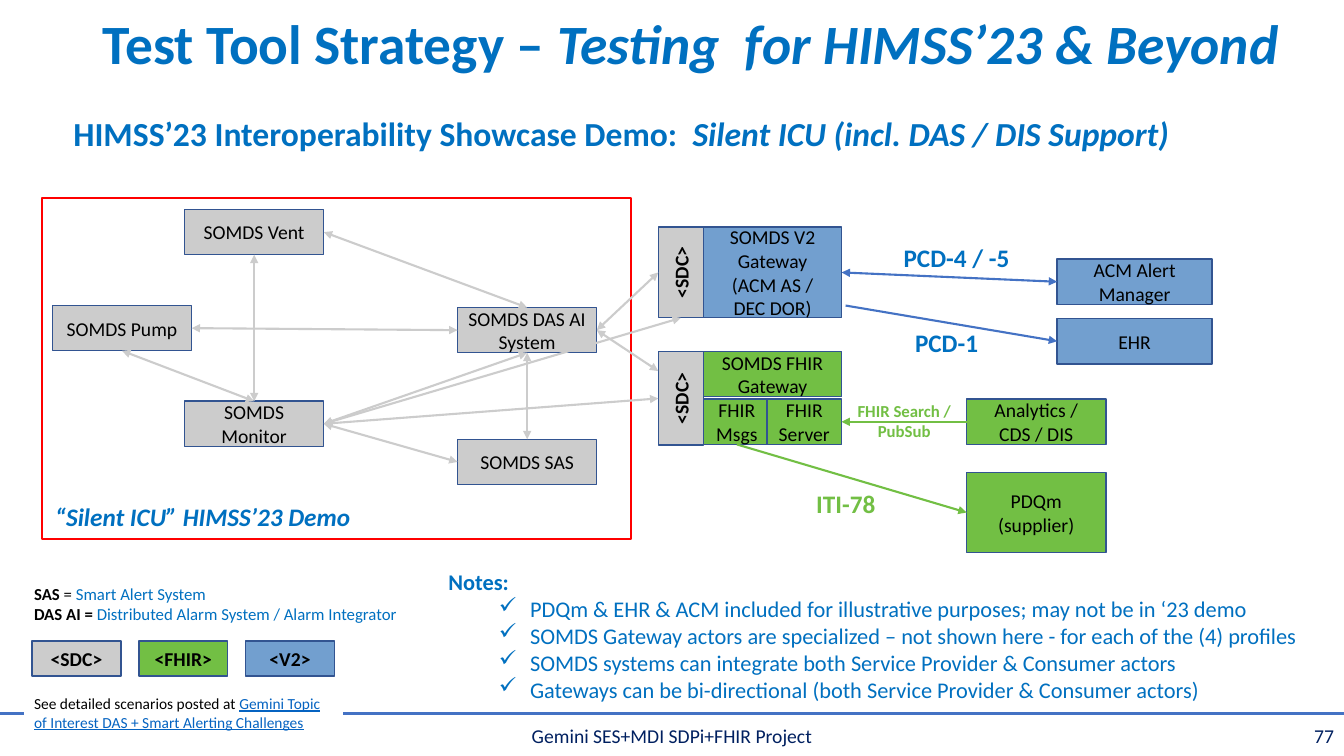
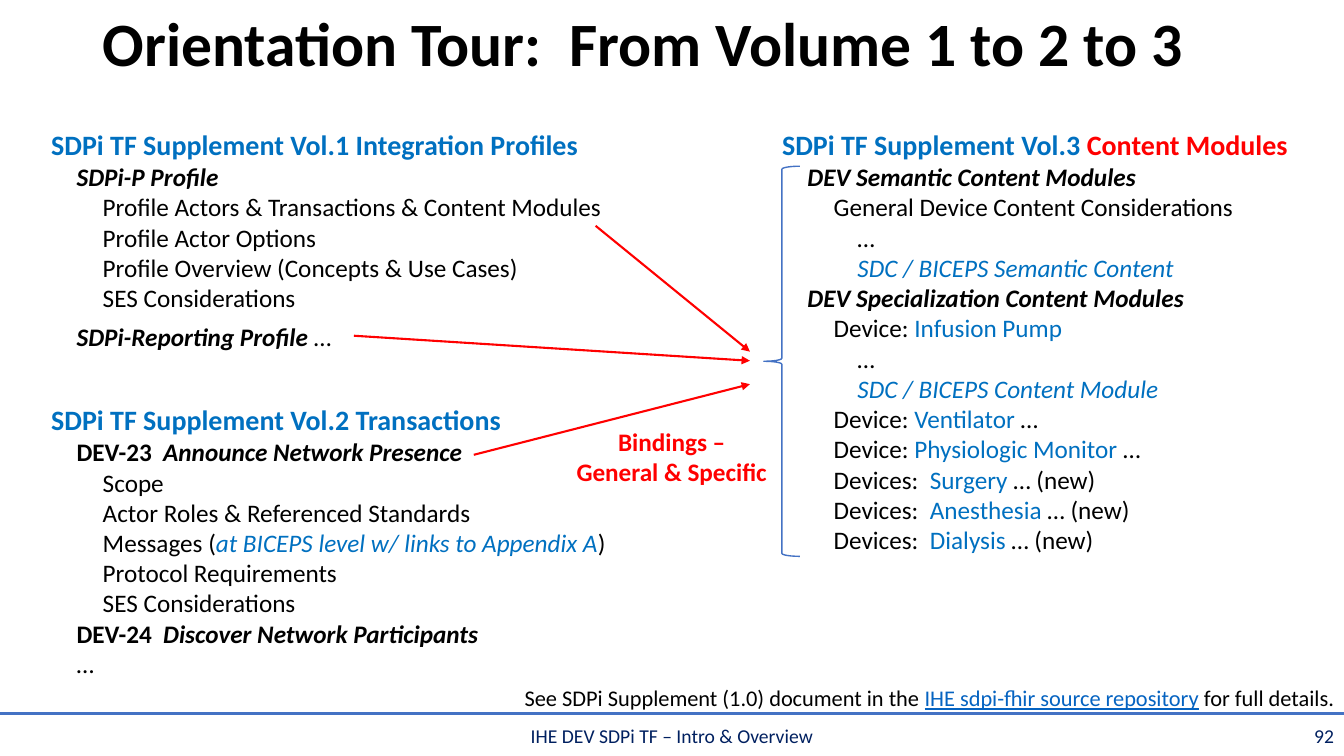
from collections import namedtuple

from lxml import etree
from pptx import Presentation
from pptx.dml.color import RGBColor
from pptx.enum import shapes, text
from pptx.oxml import ns
from pptx.util import Cm, Pt

FONT = "Calibri"
BLACK = RGBColor(0x00, 0x00, 0x00)
WHITE = RGBColor(0xFF, 0xFF, 0xFF)
BLUE = RGBColor(0x00, 0x70, 0xC0)
NAVY = RGBColor(0x00, 0x20, 0x60)
RULE = RGBColor(0x44, 0x72, 0xC4)
EDGE = RGBColor(0x32, 0x54, 0x91)
RED = RGBColor(0xFF, 0x00, 0x00)
LINK = RGBColor(0x05, 0x63, 0xC1)
SDC = RGBColor(0xCC, 0xCC, 0xCC)
FHIR = RGBColor(0x72, 0xBF, 0x44)
V2 = RGBColor(0x72, 0x9F, 0xCF)

PAGE_WIDTH, PAGE_HEIGHT = 33.87, 19.05
ACTOR_WIDTH, ACTOR_HEIGHT = 3.51, 1.14
TOP, LEFT, BOTTOM, RIGHT = range(4)
CENTER, ALIGN_RIGHT = text.PP_ALIGN.CENTER, text.PP_ALIGN.RIGHT

Point = namedtuple("Point", "x y")
Site = namedtuple("Site", "shape side")

# Span styles
PLAIN = {}
BOLD = {"bold": True}
ITALIC = {"bold": True, "italic": True}
TERM = {"color": BLUE}
TERM_ITALIC = {"color": BLUE, "italic": True}
HEADING = {"color": BLUE, "bold": True, "size": 20}
LINKED = {"color": LINK, "underline": True}


# Shared helpers
def write(para, spans, **base):
    """Fill a paragraph with text or (text, style) spans."""
    if isinstance(spans, str):
        spans = [(spans, PLAIN)]
    for words, style in spans:
        span = para.add_run()
        span.text = words
        look = {**base, **style}
        font = span.font
        font.name = FONT
        font.size = Pt(look["size"])
        font.bold = look.get("bold", False)
        font.italic = look.get("italic", False)
        font.underline = look.get("underline", False)
        font.color.rgb = look.get("color", BLACK)


def fill_frame(frame, lines, align=None, middle=False, **base):
    frame.word_wrap = True
    frame.vertical_anchor = text.MSO_ANCHOR.MIDDLE if middle else text.MSO_ANCHOR.TOP
    for index, spans in enumerate(lines):
        para = frame.add_paragraph() if index else frame.paragraphs[0]
        para.alignment = align
        write(para, spans, **base)


def add_label(page, left, top, width, height, lines, **look):
    box = page.shapes.add_textbox(Cm(left), Cm(top), Cm(width), Cm(height))
    fill_frame(box.text_frame, lines, **look)
    return box


def add_outline(page, kind, left, top, width, height, color, weight):
    shape = page.shapes.add_shape(kind, Cm(left), Cm(top), Cm(width), Cm(height))
    shape.shadow.inherit = False
    shape.fill.background()
    shape.line.color.rgb = color
    shape.line.width = Pt(weight)
    return shape


def add_actor(page, left, top, lines, color, width=ACTOR_WIDTH, height=ACTOR_HEIGHT, bold=False):
    actor = add_outline(page, shapes.MSO_SHAPE.RECTANGLE, left, top, width, height, EDGE, 1)
    actor.fill.solid()
    actor.fill.fore_color.rgb = color
    fill_frame(actor.text_frame, lines, align=CENTER, middle=True, size=14, bold=bold)
    return actor


def add_sdc_port(page, left, top, height):
    port = add_actor(page, left, top, ["<SDC>"], SDC, ACTOR_HEIGHT, height, bold=True)
    port.text_frame._txBody.bodyPr.set("vert", "vert270")
    return port


def add_line(page, start, finish, color, heads=()):
    """Join two ends, each a Point in cm or a Site on a shape."""
    line = page.shapes.add_connector(shapes.MSO_CONNECTOR.STRAIGHT, 0, 0, 0, 0)
    if isinstance(start, Site):
        line.begin_connect(start.shape, start.side)
    else:
        line.begin_x, line.begin_y = Cm(start.x), Cm(start.y)
    if isinstance(finish, Site):
        line.end_connect(finish.shape, finish.side)
    else:
        line.end_x, line.end_y = Cm(finish.x), Cm(finish.y)
    line.line.color.rgb = color
    line.line.width = Pt(1.5)
    outline = line.line._get_or_add_ln()
    for head in heads:
        etree.SubElement(outline, ns.qn("a:" + head), type="triangle")
    etree.SubElement(line._element.spPr, ns.qn("a:effectLst"))


def add_arrow(page, start, finish, color):
    add_line(page, start, finish, color, ["tailEnd"])


def add_exchange(page, start, finish, color=SDC):
    add_line(page, start, finish, color, ["headEnd", "tailEnd"])


def add_page(deck, title, size, color, footer, number):
    """Blank page with the common title, rule and footer."""
    page = deck.slides.add_slide(deck.slide_layouts[6])
    add_line(page, Point(0, 17.98), Point(PAGE_WIDTH, 17.98), RULE)
    heading = add_label(page, 2.34, 0.05, 31.53, 2.24, [title], middle=True,
                        size=size, color=color, bold=True)
    heading.text_frame.paragraphs[0].line_spacing = 0.9
    for left, words, align in ((0, footer, CENTER), (30.66, number, ALIGN_RIGHT)):
        add_label(page, left, 18.03, PAGE_WIDTH - left, 1.02, [words], align=align,
                  middle=True, size=14, color=NAVY)
    return page


# Regions of the test strategy page
def add_silent_icu(page, left, top):
    def actor(x, y, name):
        return add_actor(page, left + x, top + y, [name], SDC)

    vent = actor(3.58, 0.3, "SOMDS Vent")
    pump = actor(0.25, 2.72, "SOMDS Pump")
    das = actor(10.46, 2.77, "SOMDS DAS AI System")
    monitor = actor(3.58, 5.13, "SOMDS Monitor")
    sas = actor(10.46, 6.09, "SOMDS SAS")
    for start, side, finish, finish_side in (
        (pump, BOTTOM, monitor, TOP),
        (das, TOP, vent, RIGHT),
        (vent, BOTTOM, monitor, TOP),
        (das, LEFT, pump, RIGHT),
        (das, BOTTOM, monitor, RIGHT),
        (monitor, RIGHT, sas, LEFT),
        (sas, TOP, das, BOTTOM),
    ):
        add_exchange(page, Site(start, side), Site(finish, finish_side))
    add_outline(page, shapes.MSO_SHAPE.RECTANGLE, left, top, 14.83, 8.61, RED, 1.5)
    add_label(page, left + 0.07, top + 7.54, 10.52, 1.02, ["“Silent ICU” HIMSS’23 Demo"],
              size=18, color=BLUE, **ITALIC)
    return das, monitor


def add_v2_chain(page, left, top):
    port = add_sdc_port(page, left, top, 2.29)
    gateway = add_actor(page, left + 1.14, top, ["SOMDS V2 Gateway", "(ACM AS /", "DEC DOR)"],
                        V2, 3.48, 2.29)
    manager = add_actor(page, left + 10.05, top + 0.81, ["ACM Alert Manager"], V2, 3.91)
    record = add_actor(page, left + 10.05, top + 2.31, ["EHR"], V2, 3.91)
    add_exchange(page, Site(manager, LEFT), Site(gateway, RIGHT), RULE)
    add_arrow(page, Point(left + 4.72, top + 1.98), Site(record, LEFT), RULE)
    for x, y, name in ((5.71, 0.25, "PCD-4 / -5"), (5.46, 2.41, "PCD-1")):
        add_label(page, left + x, top + y, 3.61, 1.02, [name], align=CENTER,
                  size=18, color=BLUE, bold=True)
    return port


def add_fhir_chain(page, left, top):
    add_label(page, left + 4.64, top + 1.12, 3.12, 1.27, ["FHIR Search / PubSub"],
              align=CENTER, size=12, color=FHIR, bold=True)
    add_actor(page, left + 1.14, top, ["SOMDS FHIR Gateway"], FHIR, 3.48)
    messages = add_actor(page, left + 1.09, top + 1.2, ["FHIR Msgs"], FHIR, 1.78)
    server = add_actor(page, left + 2.74, top + 1.2, ["FHIR Server"], FHIR, 1.88)
    analytics = add_actor(page, left + 7.77, top + 1.2, ["Analytics / CDS / DIS"], FHIR)
    supplier = add_actor(page, left + 7.77, top + 3.05, ["PDQm (supplier)"], FHIR, height=2.01)
    port = add_sdc_port(page, left, top, 2.36)
    add_arrow(page, Site(analytics, LEFT), Site(server, RIGHT), FHIR)
    add_arrow(page, Site(messages, BOTTOM), Site(supplier, LEFT), FHIR)
    add_label(page, left + 2.92, top + 3.33, 3.61, 1.02, ["ITI-78"], align=CENTER,
              size=18, color=FHIR, bold=True)
    return port


def add_legend(page, left, top):
    add_label(page, left, top, 9.91, 1.27, [
        [("SAS", BOLD), (" = ", PLAIN), ("Smart Alert System", TERM)],
        [("DAS AI = ", BOLD), ("Distributed Alarm System / Alarm Integrator", TERM)],
    ], size=12)
    for index, (name, color) in enumerate((("<SDC>", SDC), ("<FHIR>", FHIR), ("<V2>", V2))):
        add_actor(page, left + 0.2 + 2.69 * index, top + 1.57, [name], color, 2.24, 0.89, bold=True)
    source = add_label(page, left, top + 2.79, 8.03, 1.19, [[
        ("See detailed scenarios posted at ", PLAIN),
        ("Gemini Topic of Interest DAS + Smart Alerting Challenges", LINKED),
    ]], size=11)
    source.fill.solid()
    source.fill.fore_color.rgb = WHITE


def add_notes_list(page, left, top):
    box = add_label(page, left, top, 22.83, 3.76, [
        [("Notes:", BOLD)],
        "PDQm & EHR & ACM included for illustrative purposes; may not be in ‘23 demo",
        "SOMDS Gateway actors are specialized – not shown here - for each of the (4) profiles",
        "SOMDS systems can integrate both Service Provider & Consumer actors",
        "Gateways can be bi-directional (both Service Provider & Consumer actors)",
    ], size=16, color=BLUE)
    for para in box.text_frame.paragraphs[1:]:
        props = para._p.get_or_add_pPr()
        props.set("marL", str(Cm(2.06)))
        props.set("indent", str(Cm(-0.79)))
        etree.SubElement(props, ns.qn("a:buChar"), char="✓")


def build_strategy_page(deck):
    page = add_page(deck, [("Test Tool Strategy – ", PLAIN),
                           ("Testing  for HIMSS’23 & Beyond", ITALIC)],
                    39.6, BLUE, "Gemini SES+MDI SDPi+FHIR Project", "77")
    add_label(page, 1.6, 2.72, 28.5, 1.27, [[
        ("HIMSS’23 Interoperability Showcase Demo:  ", PLAIN),
        ("Silent ICU (incl. DAS / DIS Support)", ITALIC),
    ]], size=24, color=BLUE, bold=True)
    add_notes_list(page, 11.05, 14.2)
    add_legend(page, 0.61, 14.58)
    das, monitor = add_silent_icu(page, 1.07, 4.98)
    v2_port = add_v2_chain(page, 16.59, 5.72)
    fhir_port = add_fhir_chain(page, 16.59, 8.86)
    # Exchanges between the bedside systems and the gateways
    add_exchange(page, Site(das, RIGHT), Site(v2_port, LEFT))
    add_exchange(page, Site(das, RIGHT), Point(16.59, 9.35))
    add_exchange(page, Site(monitor, RIGHT), Site(fhir_port, LEFT))
    add_exchange(page, Site(monitor, RIGHT), Site(v2_port, BOTTOM))


# Regions of the orientation page
VOLUME_1 = [
    (0, [("SDPi TF Supplement Vol.1 Integration Profiles", HEADING)]),
    (1, [("SDPi-P Profile", ITALIC)]),
    (2, "Profile Actors & Transactions & Content Modules"),
    (2, "Profile Actor Options"),
    (2, "Profile Overview (Concepts & Use Cases)"),
    (2, "SES Considerations"),
    (1, [("SDPi-Reporting Profile ", ITALIC), ("…", PLAIN)]),
]
VOLUME_2 = [
    (0, [("SDPi TF Supplement Vol.2 Transactions", HEADING)]),
    (1, [("DEV-23  ", BOLD), ("Announce Network Presence", ITALIC)]),
    (2, "Scope"),
    (2, "Actor Roles & Referenced Standards"),
    (2, [("Messages (", PLAIN), ("at BICEPS level w/ links to Appendix A", TERM_ITALIC),
         (")", PLAIN)]),
    (2, "Protocol Requirements"),
    (2, "SES Considerations"),
    (1, [("DEV-24", BOLD), ("  Discover Network Participants", ITALIC)]),
    (1, "…"),
]
VOLUME_3 = [
    (0, [("SDPi TF Supplement Vol.3 ", HEADING), ("Content Modules", {**HEADING, "color": RED})]),
    (1, [("DEV Semantic Content Modules", ITALIC)]),
    (2, "General Device Content Considerations"),
    (3, "…"),
    (3, [("SDC / BICEPS Semantic Content", TERM_ITALIC)]),
    (1, [("DEV Specialization Content Modules", ITALIC)]),
    (2, [("Device: ", PLAIN), ("Infusion Pump", TERM)]),
    (3, "…"),
    (3, [("SDC / BICEPS Content Module", TERM_ITALIC)]),
] + [(2, [(kind, PLAIN), (device, TERM), (rest, PLAIN)]) for kind, device, rest in (
    ("Device: ", "Ventilator", " …"),
    ("Device: ", "Physiologic Monitor", " …"),
    ("Devices:  ", "Surgery", " … (new)"),
    ("Devices:  ", "Anesthesia", " … (new)"),
    ("Devices:  ", "Dialysis", " … (new)"),
)]


def add_volume(page, left, top, width, height, entries):
    box = add_label(page, left, top, width, height, [spans for _, spans in entries], size=18)
    for para, (level, _) in zip(box.text_frame.paragraphs, entries):
        props = para._p.get_or_add_pPr()
        props.set("marL", str(Cm((0, 0.64, 1.3, 1.9)[level])))
        props.set("indent", "0")
    return box


def add_bindings(page, left, top):
    add_outline(page, shapes.MSO_SHAPE.LEFT_BRACE, left + 10.33, top, 0.91, 9.83, RULE, 1)
    for x, y, finish_y in ((6.09, 1.5, 4.67), (0, 4.27, 4.9), (3.02, 7.27, 5.49)):
        add_arrow(page, Point(left + x, top + y), Point(left + 9.98, top + finish_y), RED)
    add_label(page, left + 5.31, top + 6.43, 5.4, 1.8, ["Bindings –", "General & Specific"],
              align=CENTER, size=18, color=RED, bold=True)


def build_orientation_page(deck):
    page = add_page(deck, "Orientation Tour:  From Volume 1 to 2 to 3", 44, BLACK,
                    "IHE DEV SDPi TF – Intro & Overview", "92")
    profiles = add_volume(page, 1.04, 3.1, 17.04, 6.93, VOLUME_1)
    profiles.text_frame.paragraphs[-1].space_before = Pt(6)
    add_volume(page, 1.04, 10.03, 15.19, 7.26, VOLUME_2)
    add_volume(page, 19.46, 3.1, 14.1, 11.13, VOLUME_3)
    add_label(page, 12.62, 17.12, 21.25, 0.94, [[
        ("See SDPi Supplement (1.0) document in the ", PLAIN),
        ("IHE sdpi-fhir source repository", LINKED),
        (" for full details.", PLAIN),
    ]], align=ALIGN_RIGHT, size=16)
    add_bindings(page, 8.92, 4.19)


def main():
    deck = Presentation()
    deck.slide_width, deck.slide_height = Cm(PAGE_WIDTH), Cm(PAGE_HEIGHT)
    build_strategy_page(deck)
    build_orientation_page(deck)
    deck.save("out.pptx")


if __name__ == "__main__":
    main()
